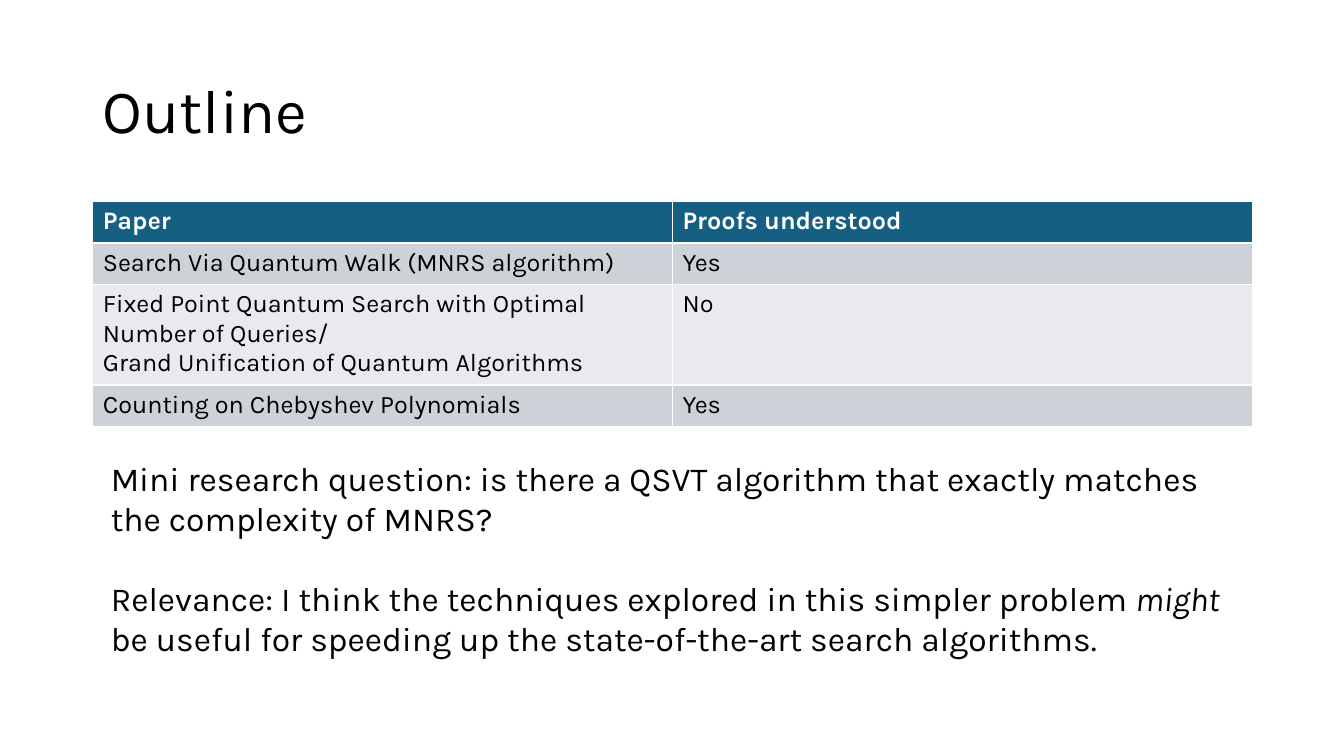
import pptx
import pptx.dml.color
import pptx.enum.text
import pptx.util
from pptx.util import Inches

COLORS = {
    "text": "000000",
    "header_text": "FFFFFF",
    "header": "156082",
    "odd_row": "CCD2D8",
    "even_row": "E8EAED",
}


def style_font(paragraph, size, color="text", bold=False):
    paragraph.font.name = "Karla"
    paragraph.font.size = pptx.util.Pt(size)
    paragraph.font.bold = bold
    paragraph.font.color.rgb = pptx.dml.color.RGBColor.from_string(COLORS[color])


presentation = pptx.Presentation()
presentation.slide_width = Inches(13.33)
presentation.slide_height = Inches(7.5)
slide = presentation.slides.add_slide(presentation.slide_layouts[6])

# Title
title = slide.shapes.add_textbox(Inches(0.92), Inches(0.4), Inches(11.5), Inches(1.45))
title.text_frame.word_wrap = True
title.text_frame.vertical_anchor = pptx.enum.text.MSO_ANCHOR.MIDDLE
title_paragraph = title.text_frame.paragraphs[0]
title_paragraph.text = "Outline"
title_paragraph.line_spacing = 0.9
style_font(title_paragraph, 44)

# Table of papers
papers = [
    ("Paper", "Proofs understood"),
    ("Search Via Quantum Walk (MNRS algorithm)", "Yes"),
    (
        "Fixed Point Quantum Search with Optimal Number of Queries/\n"
        "Grand Unification of Quantum Algorithms",
        "No",
    ),
    ("Counting on Chebyshev Polynomials", "Yes"),
]
row_fills = ["header", "odd_row", "even_row", "odd_row"]
row_heights = [0.41, 0.41, 0.99, 0.41]
table = slide.shapes.add_table(
    len(papers), 2, Inches(0.92), Inches(2), Inches(11.5), Inches(sum(row_heights))
).table
for row_index, (texts, fill, height) in enumerate(zip(papers, row_fills, row_heights)):
    table.rows[row_index].height = Inches(height)
    is_header = row_index == 0
    for column_index, text in enumerate(texts):
        cell = table.cell(row_index, column_index)
        cell.text = text
        cell.fill.solid()
        cell.fill.fore_color.rgb = pptx.dml.color.RGBColor.from_string(COLORS[fill])
        for paragraph in cell.text_frame.paragraphs:
            style_font(paragraph, 18, "header_text" if is_header else "text", is_header)

# Research question and its relevance
question = slide.shapes.add_textbox(Inches(1), Inches(4.49), Inches(11.42), Inches(2.12))
question.text_frame.word_wrap = True
question_paragraph = question.text_frame.paragraphs[0]
question_paragraph.text = (
    "Mini research question: is there a QSVT algorithm that exactly matches "
    "the complexity of MNRS?"
)
style_font(question_paragraph, 24)

relevance_paragraph = question.text_frame.add_paragraph()
relevance_paragraph.space_before = pptx.util.Pt(28)
style_font(relevance_paragraph, 24)
for text, italic in [
    ("Relevance: I think the techniques explored in this simpler problem ", False),
    ("might", True),
    (" be useful for speeding up the state-of-the-art search algorithms.", False),
]:
    run = relevance_paragraph.add_run()
    run.text = text
    run.font.italic = italic

presentation.save("out.pptx")
